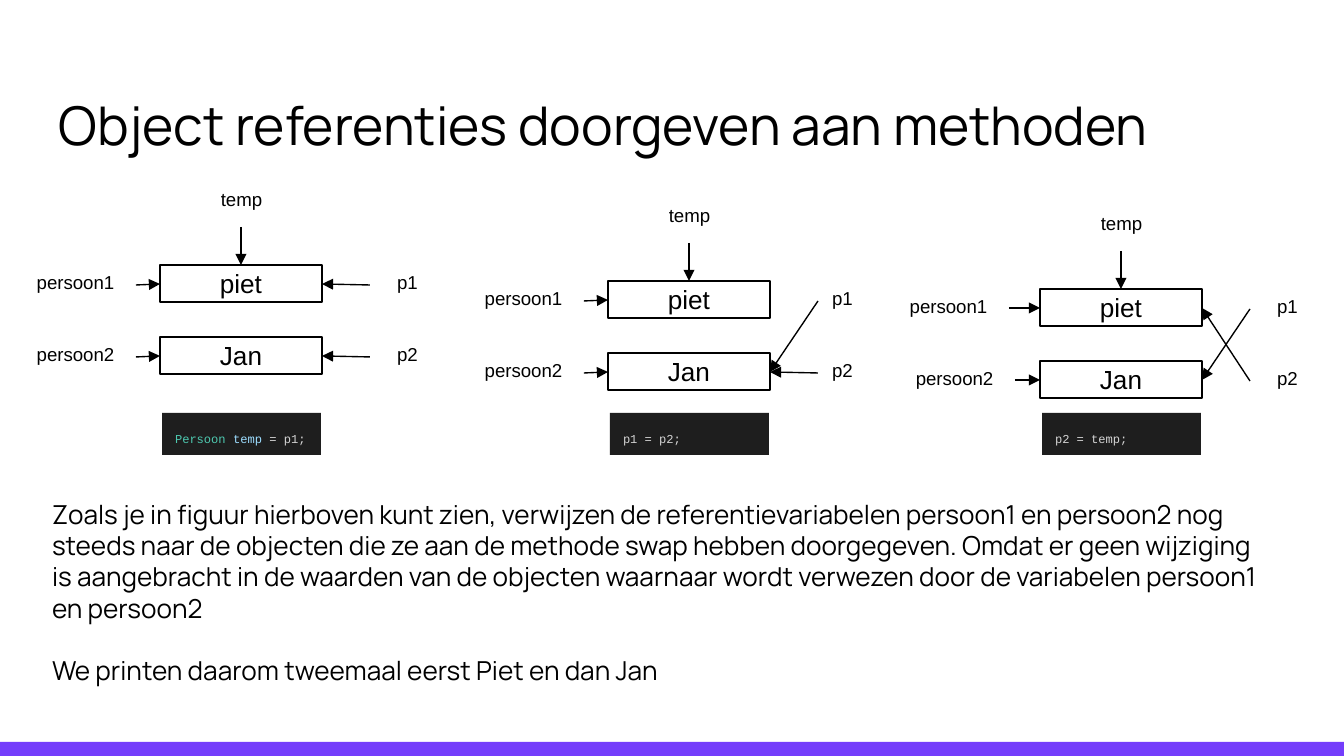
from dataclasses import dataclass

from lxml import etree
from pptx import Presentation
from pptx.dml.color import RGBColor
from pptx.enum.shapes import MSO_CONNECTOR as Connector, MSO_SHAPE as Preset
from pptx.enum.text import MSO_ANCHOR as Anchor, PP_ALIGN as Align
from pptx.oxml.ns import qn
from pptx.util import Emu, Pt

SLIDE_WIDTH, SLIDE_HEIGHT = 1344, 756
SCALE = 9144000 / SLIDE_WIDTH
INSET = 13
BLACK, PURPLE, DARK = "000000", "743DFB", "1E1E1E"
TEAL, BLUE, GREY = "4EC9B0", "9CDCFE", "D4D4D4"

BOX_WIDTH, BOX_HEIGHT, ROW_STEP = 162, 37, 72
LABEL_WIDTH, TEMP_WIDTH, LABEL_HEIGHT = 121, 103, 50
CODE_TOP, CODE_WIDTH, CODE_HEIGHT = 413, 159, 42
OBJECTS = ("piet", "Jan")


@dataclass(frozen=True)
class Area:
    left: int
    top: int
    width: int
    height: int


@dataclass(frozen=True)
class Style:
    size: float
    font: str = "Arial"
    color: str = BLACK
    align: Align = Align.LEFT
    anchor: Anchor = Anchor.TOP
    line_spacing: float | None = None


@dataclass(frozen=True)
class Panel:
    left: int
    top: int
    person_lefts: tuple[int, int]
    person_slope: int
    parameter_left: int
    targets: tuple[int, int]
    code: tuple[tuple[str, str], ...]


TITLE = Style(28.6, "Manrope", anchor=Anchor.BOTTOM)
BODY = Style(14, "Manrope")
LABEL = Style(10, align=Align.CENTER)
OBJECT = Style(14, align=Align.CENTER, anchor=Anchor.MIDDLE)
CODE = Style(6.5, "Courier New", GREY, line_spacing=1.36)

PANELS = (
    Panel(160, 265, (15, 15), 1, 347, (0, 1),
          (("Persoon ", TEAL), ("temp", BLUE), (" = p1;", GREY))),
    Panel(608, 281, (463, 463), 1, 782, (1, 1), (("p1 = p2;", GREY),)),
    Panel(1040, 289, (888, 894), 0, 1227, (1, 0), (("p2 = temp;", GREY),)),
)

PARAGRAPHS = (
    "Zoals je in figuur hierboven kunt zien, verwijzen de referentievariabelen "
    "persoon1 en persoon2 nog steeds naar de objecten die ze aan de methode swap "
    "hebben doorgegeven. Omdat er geen wijziging is aangebracht in de waarden van "
    "de objecten waarnaar wordt verwezen door de variabelen persoon1 en persoon2",
    "We printen daarom tweemaal eerst Piet en dan Jan",
)


def px(length: int) -> Emu:
    return Emu(round(length * SCALE))


def rgb(color: str) -> RGBColor:
    return RGBColor.from_string(color)


def place(area: Area) -> tuple[Emu, ...]:
    return px(area.left), px(area.top), px(area.width), px(area.height)


def write_text(shape, text: str, style: Style) -> None:
    frame = shape.text_frame
    frame.text = text
    frame.word_wrap = True
    frame.vertical_anchor = style.anchor
    frame.margin_left = frame.margin_right = px(INSET)
    frame.margin_top = frame.margin_bottom = px(INSET)
    for paragraph in frame.paragraphs:
        paragraph.alignment = style.align
        paragraph.line_spacing = style.line_spacing
        for run in paragraph.runs:
            format_run(run, style, style.color)


def format_run(run, style: Style, color: str) -> None:
    run.font.size = Pt(style.size)
    run.font.name = style.font
    run.font.color.rgb = rgb(color)


def add_text(slide, area: Area, text: str, style: Style):
    shape = slide.shapes.add_textbox(*place(area))
    write_text(shape, text, style)
    return shape


def add_rectangle(slide, area: Area, fill: str | None = None, line: str | None = None):
    shape = slide.shapes.add_shape(Preset.RECTANGLE, *place(area))
    shape.shadow.inherit = False
    if fill:
        shape.fill.solid()
        shape.fill.fore_color.rgb = rgb(fill)
    else:
        shape.fill.background()
    if line:
        shape.line.color.rgb = rgb(line)
        shape.line.width = Pt(0.75)
    else:
        shape.line.fill.background()
    return shape


def add_arrow(slide, start: tuple[int, int], end: tuple[int, int]) -> None:
    arrow = slide.shapes.add_connector(
        Connector.STRAIGHT, *(px(value) for value in start + end))
    arrow.line.color.rgb = rgb(BLACK)
    arrow.line.width = Pt(0.75)
    properties = arrow._element.spPr
    etree.SubElement(properties.find(qn("a:ln")), qn("a:tailEnd"), type="triangle")
    etree.SubElement(properties, qn("a:effectLst"))


def add_code(slide, area: Area, parts: tuple[tuple[str, str], ...]) -> None:
    shape = add_rectangle(slide, area, fill=DARK)
    write_text(shape, "", CODE)
    paragraph = shape.text_frame.paragraphs[0]
    for text, color in parts:
        run = paragraph.add_run()
        run.text = text
        format_run(run, CODE, color)


def draw_panel(slide, panel: Panel) -> None:
    right = panel.left + BOX_WIDTH
    center = panel.left + BOX_WIDTH // 2
    rows = [panel.top + index * ROW_STEP for index in range(len(OBJECTS))]
    middles = [row + BOX_HEIGHT // 2 + 1 for row in rows]

    temp_area = Area(panel.left + 30, panel.top - 88, TEMP_WIDTH, LABEL_HEIGHT)
    add_text(slide, temp_area, "temp", LABEL)
    add_arrow(slide, (center, panel.top - 38), (center, panel.top))

    for index, name in enumerate(OBJECTS):
        row, middle = rows[index], middles[index]
        person_left = panel.person_lefts[index]
        box = add_rectangle(
            slide, Area(panel.left, row, BOX_WIDTH, BOX_HEIGHT), line=BLACK)
        write_text(box, name, OBJECT)
        for prefix, left in (("persoon", person_left), ("p", panel.parameter_left)):
            area = Area(left, row - 5, LABEL_WIDTH, LABEL_HEIGHT)
            add_text(slide, area, f"{prefix}{index + 1}", LABEL)
        add_arrow(slide, (person_left + LABEL_WIDTH, middle + panel.person_slope),
                  (panel.left, middle))
        add_arrow(slide, (right + 48, middle + 1),
                  (right, middles[panel.targets[index]]))

    add_code(slide, Area(panel.left + 2, CODE_TOP, CODE_WIDTH, CODE_HEIGHT), panel.code)


def main() -> None:
    presentation = Presentation()
    presentation.slide_width = px(SLIDE_WIDTH)
    presentation.slide_height = px(SLIDE_HEIGHT)
    slide = presentation.slides.add_slide(presentation.slide_layouts[6])

    add_rectangle(slide, Area(0, 742, SLIDE_WIDTH, 14), fill=PURPLE)
    add_text(slide, Area(46, 47, 1253, 122),
             "Object referenties doorgeven aan methoden", TITLE)
    for panel in PANELS:
        draw_panel(slide, panel)
    body = add_text(slide, Area(39, 485, 1249, 218), "\n".join(PARAGRAPHS), BODY)
    body.text_frame.paragraphs[1].space_before = Pt(16.7)

    presentation.save("out.pptx")


if __name__ == "__main__":
    main()
